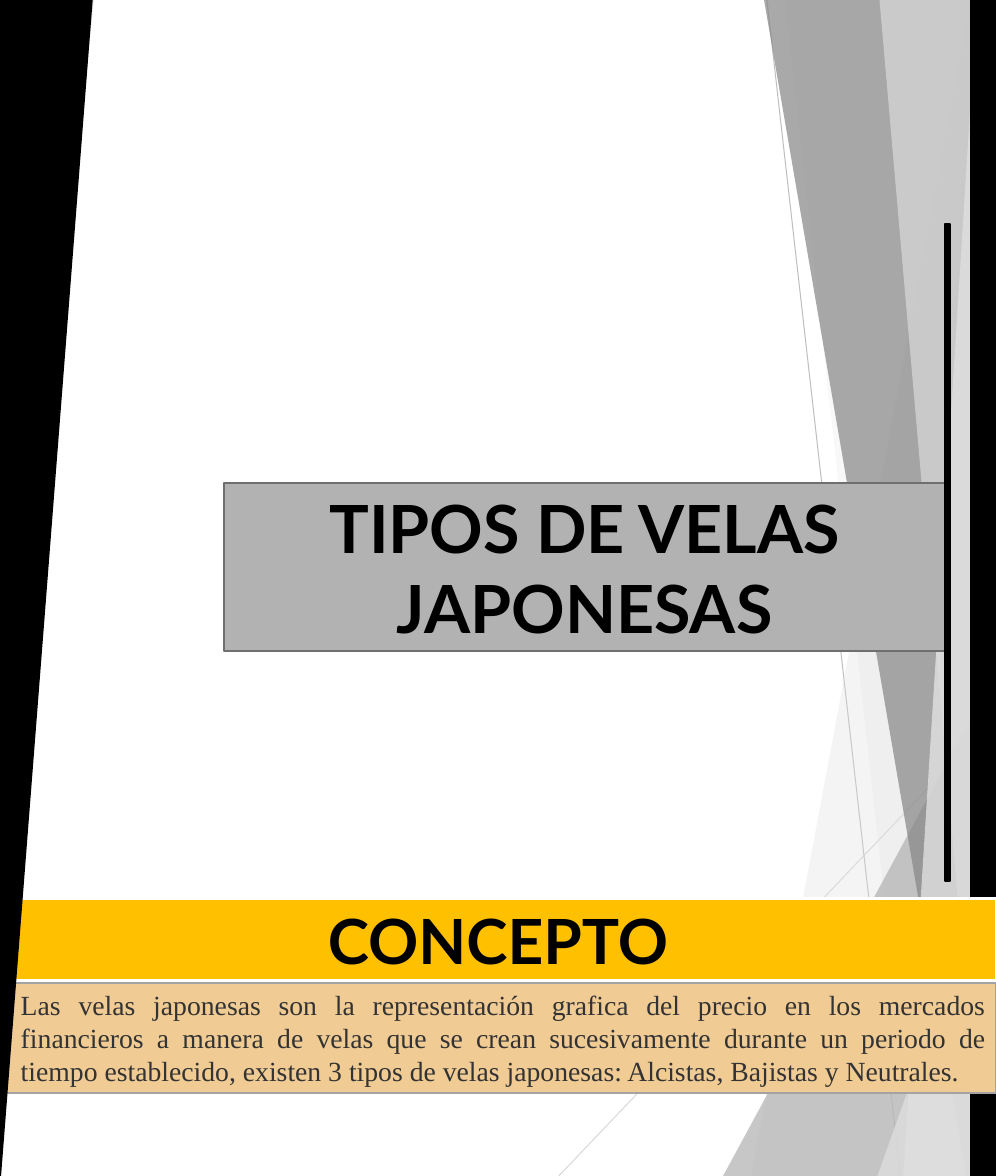
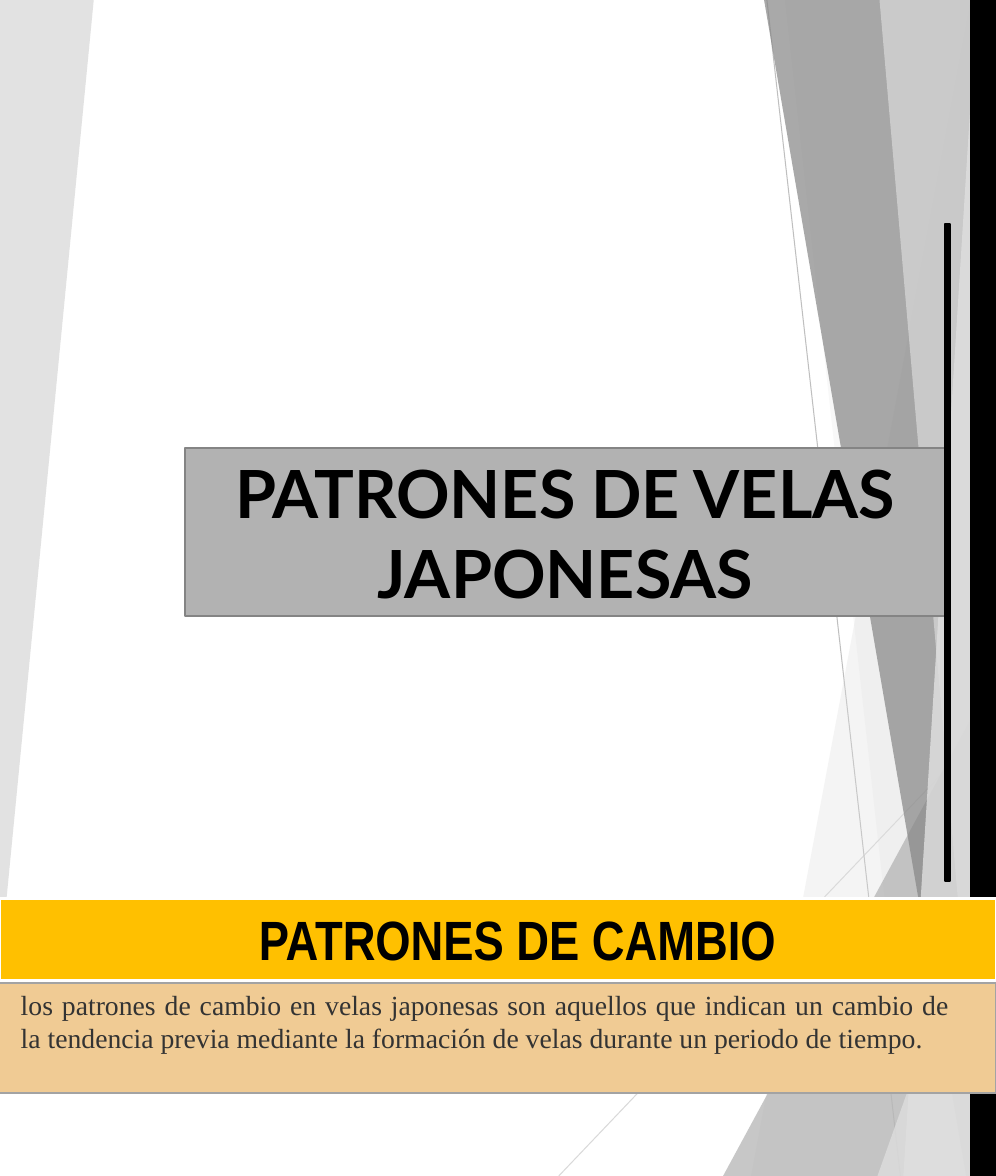
from dataclasses import dataclass

from lxml import etree
from pptx import Presentation
from pptx import util as u
from pptx.dml.color import RGBColor
from pptx.enum import shapes, text
from pptx.oxml.ns import qn

BLACK = RGBColor(0x00, 0x00, 0x00)
WHITE = RGBColor(0xFF, 0xFF, 0xFF)
GOLD = RGBColor(0xFF, 0xC0, 0x00)
SAND = RGBColor(0xF0, 0xCB, 0x94)
SAND_EDGE = RGBColor(0xA3, 0xA3, 0xA3)
INK = RGBColor(0x33, 0x33, 0x33)
GREY = RGBColor(0xB2, 0xB2, 0xB2)
DARK_GREY = RGBColor(0x85, 0x85, 0x85)
PALE_GREY = RGBColor(0xDD, 0xDD, 0xDD)
MIST = RGBColor(0xEB, 0xEB, 0xEB)
TITLE_EDGE_1 = RGBColor(0x6F, 0x6F, 0x6F)
TITLE_EDGE_2 = RGBColor(0x84, 0x84, 0x84)

W, H = 10, 11.81
Point = tuple[float, float]
Box = tuple[float, float, float, float]  # left, top, width, height


@dataclass(frozen=True)
class Facet:
    points: tuple[Point, ...]
    color: RGBColor
    opacity: int  # percent


@dataclass(frozen=True)
class Ray:
    start: Point
    end: Point
    color: RGBColor


@dataclass(frozen=True)
class Panel:
    box: Box
    fill: RGBColor
    line: RGBColor
    weight: float = 1.5


@dataclass(frozen=True)
class Type:
    font: str
    size: int
    color: RGBColor = BLACK
    bold: bool = True
    align: text.PP_ALIGN = text.PP_ALIGN.CENTER


TITLE = Type("Lato", 48)
HEADING = Type("Lato", 45)
NARROW_HEADING = Type("Arial Narrow", 40)
BODY = Type("Times New Roman", 20, INK, False, text.PP_ALIGN.JUSTIFY)

RAYS = (
    Ray((5.61, H), (10.01, 7.19), RGBColor(0xD9, 0xD9, 0xD9)),
    Ray((7.7, 0), (9.04, H), RGBColor(0xBF, 0xBF, 0xBF)),
)
FACETS = (
    Facet(((9.75, 0), (7.54, H), (10.02, 11.83), (10.01, 0.01)), PALE_GREY, 30),
    Facet(((7.88, -0.01), (9.19, H), (10.01, H), (10.01, -0.01)), PALE_GREY, 20),
    Facet(((7.26, H), (10, 6.75), (10.01, H)), GREY, 72),
    Facet(((7.67, -0.01), (9.7, H), (10.01, H), (10.01, -0.01)), DARK_GREY, 70),
    Facet(((9.81, -0.01), (9.07, H), (10.01, H), (10, -0.01)), MIST, 70),
    Facet(((8.83, -0.01), (9.86, H), (10, H), (9.98, -0.01)), PALE_GREY, 65),
    Facet(((8.81, H), (10.01, 8.43), (10.01, H)), PALE_GREY, 80),
    Facet(((-0.01, 0), (0.94, -0.01), (0.94, 0.01), (-0.01, 9.8)), PALE_GREY, 85),
)
SIDE_BARS = (
    Panel((9.75, 0, 0.25, H), BLACK, BLACK),
    Panel((9.49, 2.25, 0.05, 6.6), BLACK, BLACK),
)
HEADING_BAND = Panel((0, 9.02, W, 0.83), GOLD, WHITE, 2)


def inches(values: tuple[float, ...]) -> list[u.Length]:
    return [u.Inches(v) for v in values]


def draw_ray(s, ray: Ray) -> None:
    line = s.shapes.add_connector(shapes.MSO_CONNECTOR.STRAIGHT,
                                  *inches(ray.start + ray.end))
    line.line.color.rgb = ray.color
    line.line.width = u.Pt(0.75)
    etree.SubElement(line._element.spPr, qn("a:effectLst"))


def draw_facet(s, facet: Facet) -> None:
    first, *rest = [tuple(inches(point)) for point in facet.points]
    builder = s.shapes.build_freeform(*first)
    builder.add_line_segments(rest, close=True)
    sp = builder.convert_to_shape()
    sp.shadow.inherit = False
    sp.line.fill.background()
    sp.fill.solid()
    sp.fill.fore_color.rgb = facet.color
    color = sp._element.spPr.find(qn("a:solidFill"))[0]
    etree.SubElement(color, qn("a:alpha"), val=str(facet.opacity * 1000))


def draw_panel(s, panel: Panel, kind=shapes.MSO_SHAPE.RECTANGLE):
    sp = s.shapes.add_shape(kind, *inches(panel.box))
    sp.shadow.inherit = False
    sp.fill.solid()
    sp.fill.fore_color.rgb = panel.fill
    sp.line.color.rgb = panel.line
    sp.line.width = u.Pt(panel.weight)
    return sp


def write(sp, words: str, style: Type) -> None:
    tf = sp.text_frame
    tf.word_wrap = True
    tf.auto_size = text.MSO_AUTO_SIZE.SHAPE_TO_FIT_TEXT
    p = tf.paragraphs[0]
    p.text = words
    p.alignment = style.align
    p.font.name = style.font
    p.font.size = u.Pt(style.size)
    p.font.bold = style.bold
    p.font.color.rgb = style.color


def write_panel(sp, words: str, style: Type) -> None:
    tf = sp.text_frame
    tf.margin_left = tf.margin_right = u.Inches(0.07)
    tf.margin_top = tf.margin_bottom = u.Inches(0.04)
    tf.vertical_anchor = text.MSO_ANCHOR.MIDDLE
    write(sp, words, style)


def write_box(s, box: Box, words: str, style: Type) -> None:
    write(s.shapes.add_textbox(*inches(box)), words, style)


def start_slide(prs, title: str, title_panel: Panel):
    """Add a slide with the backdrop, title, side bars and heading band."""
    s = prs.slides.add_slide(prs.slide_layouts[6])
    for ray in RAYS:
        draw_ray(s, ray)
    for facet in FACETS:
        draw_facet(s, facet)
    write_panel(draw_panel(s, title_panel), title, TITLE)
    for bar in SIDE_BARS:
        draw_panel(s, bar)
    return s, draw_panel(s, HEADING_BAND)


def build_types(prs) -> None:
    s, band = start_slide(prs, "TIPOS DE VELAS JAPONESAS",
                          Panel((2.25, 4.85, 7.24, 1.69), GREY, TITLE_EDGE_1))
    write_panel(band, "CONCEPTO", HEADING)
    draw_panel(s, Panel((0, 9.87, W, 1.11), SAND, SAND_EDGE))
    write_box(s, (0.11, 9.87, 9.89, 1.38),
              "Las velas japonesas son la representación grafica del precio en los "
              "mercados financieros a manera de velas que se crean sucesivamente "
              "durante un periodo de tiempo establecido, existen 3 tipos de velas "
              "japonesas: Alcistas, Bajistas y Neutrales.", BODY)
    # Black wedge down the left edge
    wedge = draw_panel(s, Panel((0, 0, 0.92, H), BLACK, BLACK),
                       shapes.MSO_SHAPE.ISOSCELES_TRIANGLE)
    wedge.adjustments[0] = 1
    wedge.rotation = 180


def build_patterns(prs) -> None:
    s, _ = start_slide(prs, "PATRONES DE VELAS JAPONESAS",
                       Panel((1.86, 4.5, 7.63, 1.69), GREY, TITLE_EDGE_2))
    write_box(s, (1.51, 9.04, 7.37, 0.77), "PATRONES DE CAMBIO", NARROW_HEADING)
    draw_panel(s, Panel((-0.05, 9.87, 10.05, 1.11), SAND, SAND_EDGE))
    write_box(s, (0.11, 9.87, 9.52, 0.77),
              "los patrones de cambio en velas japonesas son aquellos que indican "
              "un cambio de la tendencia previa mediante la formación de velas "
              "durante un periodo de tiempo.", BODY)


def main() -> None:
    prs = Presentation()
    prs.slide_width, prs.slide_height = inches((W, H))
    build_types(prs)
    build_patterns(prs)
    prs.save("out.pptx")


if __name__ == "__main__":
    main()
